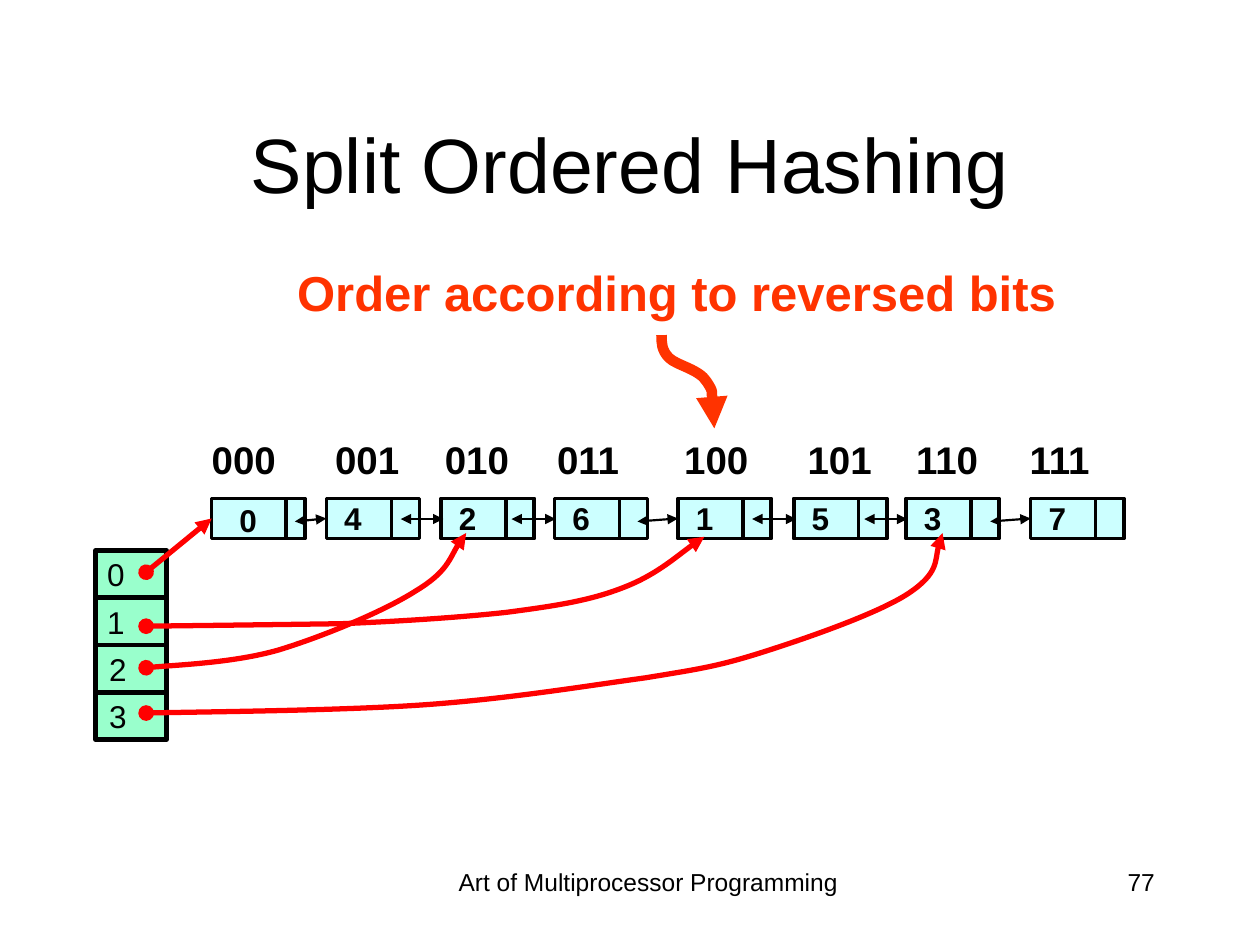
from lxml.etree import SubElement
from pptx import Presentation
from pptx.dml.color import RGBColor
from pptx.enum.shapes import MSO_CONNECTOR as Link, MSO_SHAPE as Preset
from pptx.enum.text import MSO_ANCHOR as Anchor, MSO_AUTO_SIZE as AutoSize, PP_ALIGN as Align
from pptx.oxml.ns import qn
from pptx.util import Pt

COLORS = {"black": "000000", "digit": "020202", "node": "CCFFFF",
          "bucket": "99FFCC", "pointer": "FF0000", "accent": "FF3300"}


def write(shape, text, color="black", align=Align.LEFT, wrap=False, **font_values):
    frame = shape.text_frame
    frame_values = {"word_wrap": wrap, "margin_left": Pt(6.5), "margin_right": Pt(6.5)}
    if not wrap:
        frame_values["auto_size"] = AutoSize.SHAPE_TO_FIT_TEXT
    for name, value in frame_values.items():
        setattr(frame, name, value)
    paragraph = frame.paragraphs[0]
    paragraph.alignment = align
    run = paragraph.add_run()
    run.text = text
    for name, value in {"name": "Arial", **font_values}.items():
        setattr(run.font, name, value)
    run.font.color.rgb = RGBColor.from_string(COLORS[color])
    return paragraph


def stroke(shape, color, width, head=None, tail=None):
    """Give a shape or connector a line with optional arrowheads and no shadow."""
    shape.line.color.rgb = RGBColor.from_string(COLORS[color])
    shape.line.width = Pt(width)
    for tag, kind in (("a:headEnd", head), ("a:tailEnd", tail)):
        if kind:
            SubElement(shape.get_or_add_ln(), qn(tag)).set("type", kind)
    SubElement(shape._element.spPr, qn("a:effectLst"))


prs = Presentation()
prs.slide_width, prs.slide_height = Pt(720), Pt(540)
slide = prs.slides.add_slide(prs.slide_layouts[5])
shapes = slide.shapes

# Title and footer
title = shapes.title
title.left, title.top, title.width, title.height = Pt(54), Pt(48), Pt(612), Pt(90)
title.text_frame.vertical_anchor = Anchor.MIDDLE
write(title, "Split Ordered Hashing", align=Align.CENTER, wrap=True, size=Pt(44))
for text, left, width, align in (
    ("Art of Multiprocessor Programming", 246.3, 248.4, Align.CENTER),
    ("77", 516.6, 149.8, Align.RIGHT),
):
    footer = shapes.add_textbox(Pt(left), Pt(492), Pt(width), Pt(36))
    write(footer, text, align=align, wrap=True, size=Pt(14))

# List nodes: key, left edge, left edge of the bit label
NODE_TOP, NODE_W, NODE_H = 284.8, 53.3, 23
nodes = []
for order, (key, left, label_left) in enumerate((
    (0, 121, 114.5), (4, 186.5, 185), (2, 252, 247.7), (6, 316.8, 311.8),
    (1, 387.4, 384.5), (5, 453.6, 455), (3, 517.7, 517), (7, 589, 581.8),
)):
    is_first = order == 0
    node = shapes.add_shape(Preset.ROUNDED_RECTANGLE, Pt(left), Pt(NODE_TOP),
                            Pt(NODE_W), Pt(NODE_H))
    node.adjustments[0] = 0
    node.fill.solid()
    node.fill.fore_color.rgb = RGBColor.from_string(COLORS["node"])
    stroke(node, "black", 2)
    nodes.append(node)

    divider_x = left + (42.5 if is_first else 37.1)
    divider = shapes.add_connector(Link.STRAIGHT, Pt(divider_x), Pt(NODE_TOP + 0.5),
                                   Pt(divider_x), Pt(NODE_TOP + NODE_H))
    stroke(divider, "black", 2)

    digit = shapes.add_textbox(Pt(left + (9.3 if is_first else 3.7)),
                               Pt(283 if is_first else 281.5), Pt(23), Pt(28))
    write(digit, str(key), "digit", size=Pt(18), bold=True)
    bits = shapes.add_textbox(Pt(label_left), Pt(245.5), Pt(49.7), Pt(33))
    write(bits, f"{order:03b}", size=Pt(22), bold=True)

# Two-way links to the next node; every third one starts lower and is joined
for order, (start, end) in enumerate((
    (168.5, 186.5), (229, 253.4), (292.3, 317.5), (364.3, 387.4),
    (429.8, 455), (493.9, 518.4), (565.9, 589),
)):
    is_joined = order % 3 == 0
    link = shapes.add_connector(Link.STRAIGHT, Pt(start), Pt(298 if is_joined else 296.6),
                                Pt(end), Pt(296.6))
    if is_joined:
        link.end_connect(nodes[order + 1], 1)
    stroke(link, "black", 1.25, "triangle", "triangle")

# Bucket array
BUCKET_TOP, BUCKET_H = 314.6, 27
for index in range(4):
    top = BUCKET_TOP + index * BUCKET_H
    bucket = shapes.add_shape(Preset.ROUNDED_RECTANGLE, Pt(54.7), Pt(top), Pt(40.3), Pt(BUCKET_H))
    bucket.adjustments[0] = 0
    bucket.fill.solid()
    bucket.fill.fore_color.rgb = RGBColor.from_string(COLORS["bucket"])
    stroke(bucket, "black", 2.8)
    number = shapes.add_textbox(Pt(54.7 if index < 2 else 55.8), Pt(top - 0.7), Pt(23), Pt(28))
    write(number, str(index), "digit", size=Pt(18))

# Pointers from the buckets into the list
first_pointer = shapes.add_connector(Link.STRAIGHT, Pt(83.5), Pt(327), Pt(121), Pt(296.3))
first_pointer.end_connect(nodes[0], 1)
stroke(first_pointer, "pointer", 3, "oval", "triangle")

# Curves: a start, then two control points and an end for each segment
pointer_style = ("pointer", 3, "oval", "triangle")
curves = (
    (pointer_style, (83.5, 357.8), (120.7, 357.4), (157.9, 356.9), (195.1, 356.4),
     (229, 355), (262.8, 352.8), (289.4, 349.9), (316.8, 346.3), (336.2, 343.4), (355, 336.2),
     (374.4, 329), (393.1, 312.5), (402.5, 306.7)),
    (pointer_style, (83.5, 407.5), (110.9, 406.8), (198.7, 406.1), (246.2, 402.5),
     (293.8, 398.9), (337, 391.7), (368.6, 387.4), (399.6, 382.3), (409.7, 380.9), (434.9, 373),
     (460.1, 365), (501.8, 350.6), (519.1, 339.1), (536.4, 327.6), (535, 311.8), (538.6, 304.6)),
    (pointer_style, (83.5, 381.6), (96.5, 380.2), (133.9, 378.7), (159.1, 371.5),
     (185, 363.6), (219.6, 349.2), (237.6, 337.7), (255.6, 326.9), (260.6, 311), (266.4, 304.6)),
    (("accent", 6, None, "triangle"), (378, 191.5), (378, 195.8), (378, 200.2), (382.3, 204.5),
     (386.6, 208.8), (399.6, 211), (403.9, 218.2), (408.2, 224.6), (407.5, 239.8), (408.2, 244.8)),
)
for style, *points in curves:
    start, *rest = [(Pt(x), Pt(y)) for x, y in points]
    builder = shapes.build_freeform(*start)
    builder.add_line_segments(rest, close=False)
    curve = builder.convert_to_shape()
    outline = next(curve._element.iter(qn("a:path")))
    steps = outline.findall(qn("a:lnTo"))
    for first in range(0, len(steps), 3):
        bezier = SubElement(outline, qn("a:cubicBezTo"))
        for step in steps[first:first + 3]:
            bezier.append(step[0])
            outline.remove(step)
    curve.fill.background()
    stroke(curve, *style)

caption = shapes.add_textbox(Pt(137.5), Pt(146.2), Pt(490.3), Pt(40.3))
paragraph = write(caption, "Order according to reversed bits ", "accent", Align.CENTER,
                  wrap=True, size=Pt(28), bold=True)
paragraph._p.get_or_add_pPr().set("rtl", "1")

prs.save("out.pptx")
